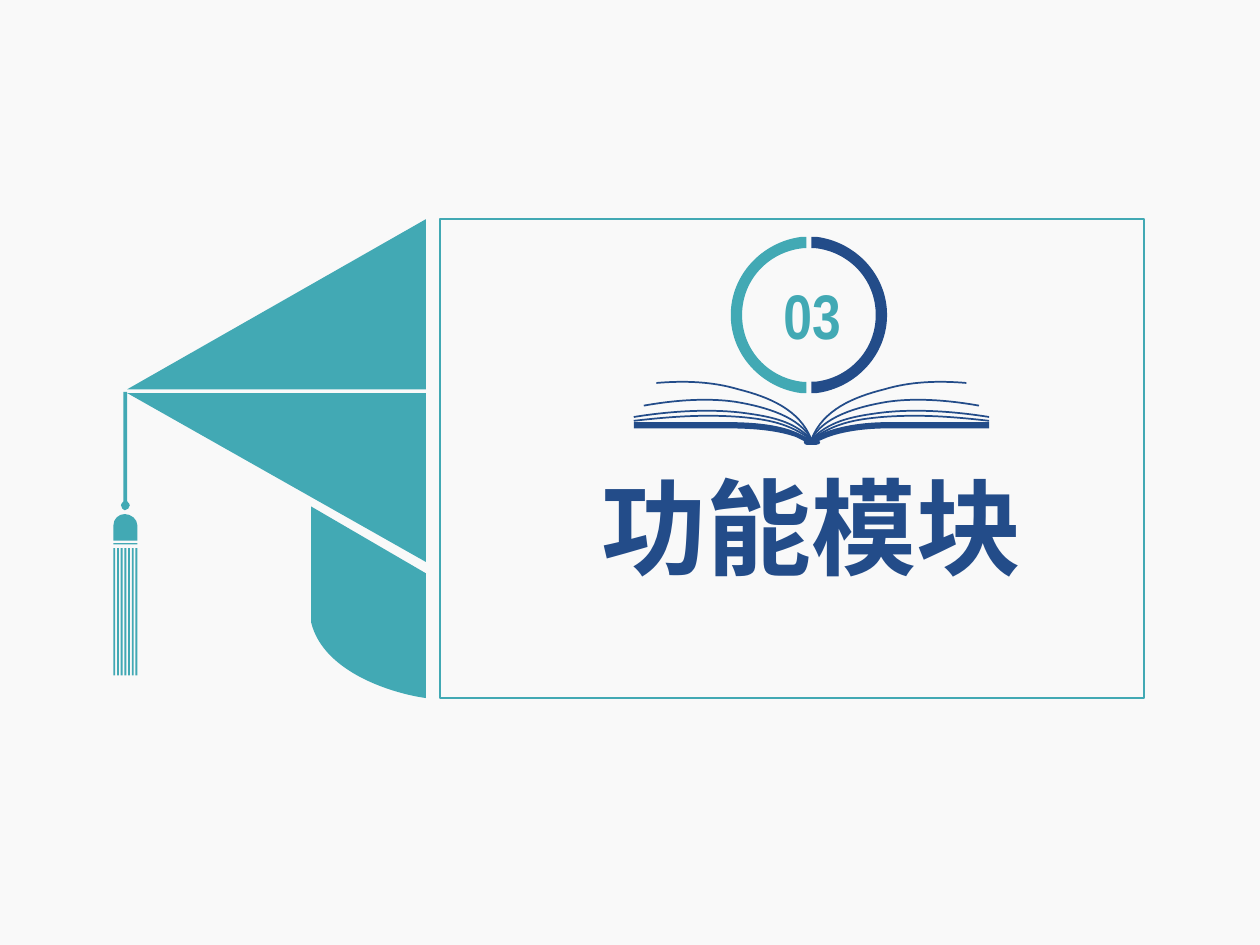
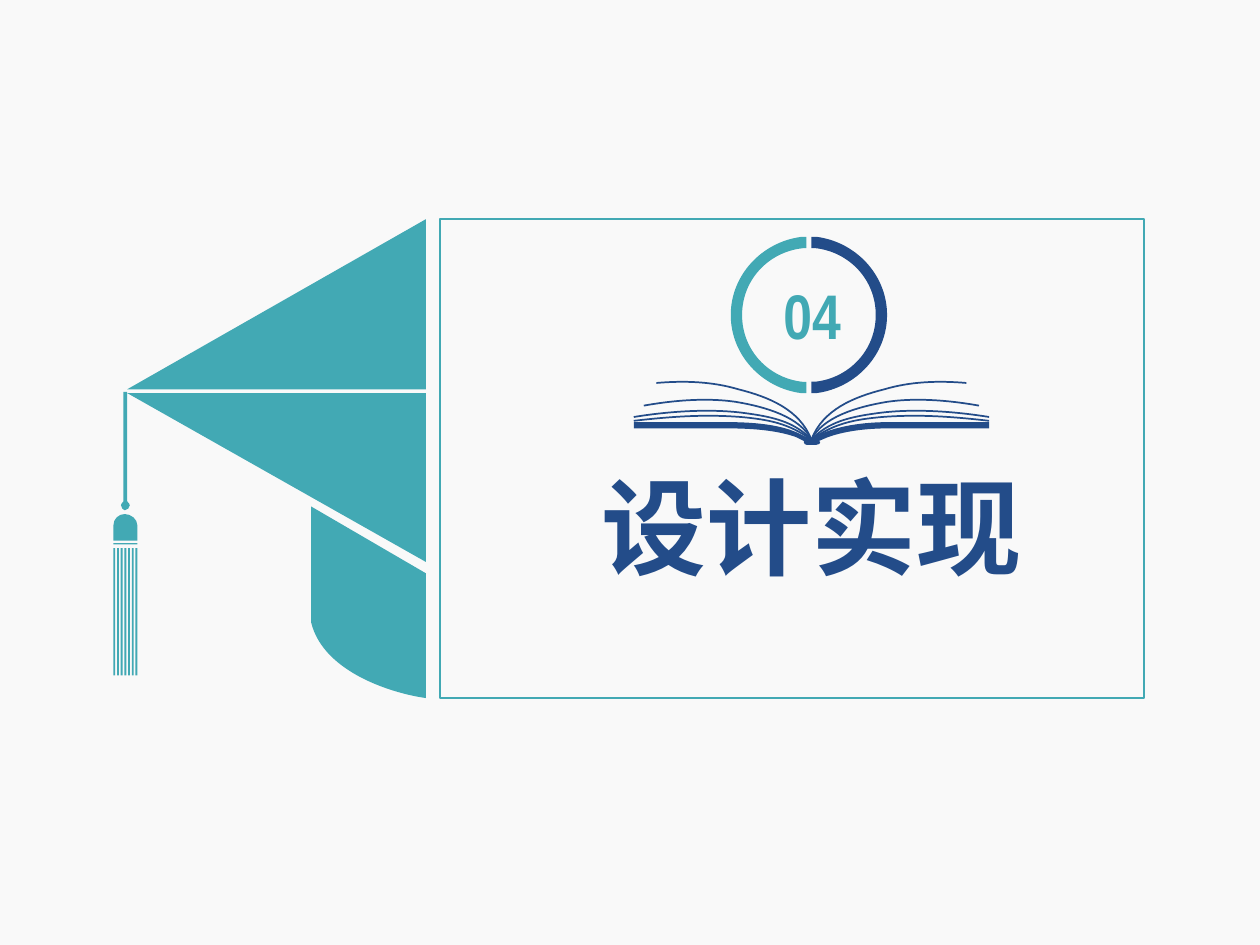
from dataclasses import dataclass

from pptx import Presentation
from pptx import util as u
from pptx.dml.color import RGBColor
from pptx.enum import shapes, text
from pptx.oxml import ns

PX = 9144  # EMU in one px, 100 px to the inch
HUE = {"teal": "42A9B4", "navy": "234C89", "page": "F9F9F9"}
SANS, SLIM = "Noto Sans CJK SC", "Arial Narrow"
FOLD = 644  # x of the fold of the book
KIND = shapes.MSO_SHAPE


@dataclass
class Part:
    """A section of the talk."""
    num: str
    title: str


@dataclass
class Half:
    """Half of the ring: an arch turned to its side."""
    left: int
    turn: int
    hue: str


PARTS = [Part("03", "功能模块"), Part("04", "设计实现")]
HALVES = [Half(548, 270, "teal"), Half(612, 90, "navy")]

# Outlines: each step is a point, or a curve with two handles and its end
ARCH = [(124, 60), (115, 60), (115, 57), (112, 30, 90, 9, 62, 9),
        (34, 9, 12, 30, 9, 57), (9, 60), (0, 60), (0, 56),
        (4, 25, 30, 0, 62, 0), (94, 0, 120, 25, 124, 56)]

CAP = [
    [(338, 174), (101, 309), (338, 309)],
    [(101, 312), (338, 446), (338, 312)],
    [(247, 494), (257, 535, 315, 551, 338, 554), (338, 455), (247, 402)],
]


def bars(left: int, right: int, top: int, low: int, count: int) -> list:
    """Upright bars, with gaps as wide as the bars."""
    wide = (right - left) / (2 * count - 1)
    starts = [left + 2 * wide * i for i in range(count)]
    return [[(x, top), (x + wide, top), (x + wide, low), (x, low)]
            for x in starts]


TASSEL = [
    # cord with bead
    [(101, 311), (101, 398), (102, 399, 103, 400, 103, 401),
     (103, 403, 101, 405, 99, 405), (98, 405, 96, 403, 96, 401),
     (96, 400, 97, 399, 98, 398), (98, 311)],
    # band and knob
    [(109, 431), (90, 431), (90, 432), (109, 432)],
    [(109, 417), (109, 412, 104, 408, 99, 408),
     (94, 408, 90, 412, 90, 417), (90, 429), (109, 429)],
    *bars(90, 109, 435, 536, 7),
]

# Left leaves of the book, each from the fold outwards
LEAVES = [
    [(FOLD, 349), (631, 335, 614, 331, 592, 328), (571, 325, 540, 325, 503, 331)],
    [(FOLD, 349), (626, 336, 610, 333, 588, 331), (562, 329, 538, 330, 503, 334)],
    [(FOLD, 349), (635, 331, 608, 323, 584, 319), (564, 316, 539, 317, 511, 322)],
    [(FOLD, 349), (635, 325, 610, 315, 586, 309), (566, 303, 544, 302, 521, 304)],
]
COVER = [(503, 335), (576, 335), (604, 335, 624, 338, 638, 346), (643, 348),
         (646, 348), (650, 345), (665, 338, 685, 335, 706, 335), (785, 335),
         (785, 340), (706, 340), (688, 340, 671, 342, 657, 347), (650, 350),
         (651, 351), (651, 352, 650, 353, 648, 353), (640, 353),
         (639, 353, 638, 352, 638, 351), (638, 350), (632, 347),
         (618, 342, 600, 340, 576, 340), (503, 340)]


def color(name: str) -> RGBColor:
    return RGBColor.from_string(HUE[name])


def flip(steps: list) -> list:
    """Mirror an outline at the fold."""
    return [tuple(n if i % 2 else 2 * FOLD - n for i, n in enumerate(step))
            for step in steps]


def style(shape, fill: str = "", line: str = ""):
    shape.shadow.inherit = False
    if fill:
        shape.fill.solid()
        shape.fill.fore_color.rgb = color(fill)
    else:
        shape.fill.background()
    if line:
        shape.line.color.rgb = color(line)
        shape.line.width = u.Pt(1)
    else:
        shape.line.fill.background()
    return shape


def bend(shape, loops: list) -> None:
    """Join the three lines laid along each curve into one Bezier curve."""
    lines = iter(list(shape._element.iter(ns.qn("a:lnTo"))))
    for step in (step for loop in loops for step in loop[1:]):
        first = next(lines)
        if len(step) == 2:
            continue
        curve = first.makeelement(ns.qn("a:cubicBezTo"), {})
        first.addprevious(curve)
        for line in (first, next(lines), next(lines)):
            curve.append(line[0])
            line.getparent().remove(line)


def draw(slide, loops: list, fill: str = "", line: str = ""):
    """Draw loops as one freeform; only filled ones are closed."""
    pen = None
    for loop in loops:
        spots = [(round(step[i] * PX), round(step[i + 1] * PX))
                 for step in loop for i in range(0, len(step), 2)]
        if pen is None:
            pen = slide.shapes.build_freeform(*spots[0], scale=1.0)
        else:
            pen.move_to(*spots[0])
        pen.add_line_segments(spots[1:], close=bool(fill))
    shape = pen.convert_to_shape()
    bend(shape, loops)
    return style(shape, fill, line)


def block(slide, kind, box: tuple, fill: str = "", line: str = ""):
    shape = slide.shapes.add_shape(kind, *(n * PX for n in box))
    return style(shape, fill, line)


def write(shape, words: str, *, size: int, font: str, hue: str,
          lead: float = 0, grow: bool = False) -> None:
    frame = shape.text_frame
    frame.word_wrap = True
    if grow:
        frame.auto_size = text.MSO_AUTO_SIZE.SHAPE_TO_FIT_TEXT
    frame.vertical_anchor = text.MSO_ANCHOR.MIDDLE
    frame.margin_left = frame.margin_right = 0
    frame.margin_top = frame.margin_bottom = 0
    para = frame.paragraphs[0]
    para.alignment = text.PP_ALIGN.CENTER
    if lead:
        para.line_spacing = lead
    run = para.add_run()
    run.text = words
    run.font.name, run.font.size, run.font.bold = font, u.Pt(size), True
    run.font.color.rgb = color(hue)
    east = run.font._element.makeelement(ns.qn("a:ea"), {"typeface": font})
    run.font._element.find(ns.qn("a:latin")).addnext(east)


def ring(slide) -> None:
    items = []
    for half in HALVES:
        arch = [tuple(n + (220 if i % 2 else half.left)
                      for i, n in enumerate(step)) for step in ARCH]
        shape = draw(slide, [arch], fill=half.hue)
        shape.rotation = half.turn
        items.append(shape)
    slide.shapes.add_group_shape(items)


def hat(slide) -> None:
    slide.shapes.add_group_shape(
        [draw(slide, loops, fill="teal") for loops in (CAP, TASSEL)])


def book(slide) -> None:
    items = [draw(slide, [leaf], line="navy")
             for leaf in LEAVES + [flip(leaf) for leaf in LEAVES]]
    items.append(draw(slide, [COVER], fill="navy"))
    slide.shapes.add_group_shape(items)


def build(deck, part: Part):
    slide = deck.slides.add_slide(deck.slide_layouts[6])
    ring(slide)
    title = block(slide, KIND.ROUNDED_RECTANGLE, (426, 378, 436, 91))
    title.adjustments[0] = 0
    write(title, part.title, size=60, font=SANS, hue="navy", lead=0.9,
          grow=True)
    label = slide.shapes.add_textbox(*(n * PX for n in (602, 225, 85, 49)))
    write(label, part.num, size=36, font=SLIM, hue="teal")
    hat(slide)
    # frame around the title
    block(slide, KIND.RECTANGLE, (349, 174, 559, 380), line="teal")
    book(slide)
    return slide


def main() -> None:
    deck = Presentation()
    deck.slide_width, deck.slide_height = 1000 * PX, 750 * PX
    pages = [build(deck, part) for part in PARTS]
    # page colour: one sheet at the back of the master
    sheet = block(pages[0], KIND.RECTANGLE, (0, 0, 1000, 750), fill="page")
    deck.slide_master.shapes._spTree.insert(2, sheet._element)
    deck.save("out.pptx")


if __name__ == "__main__":
    main()
